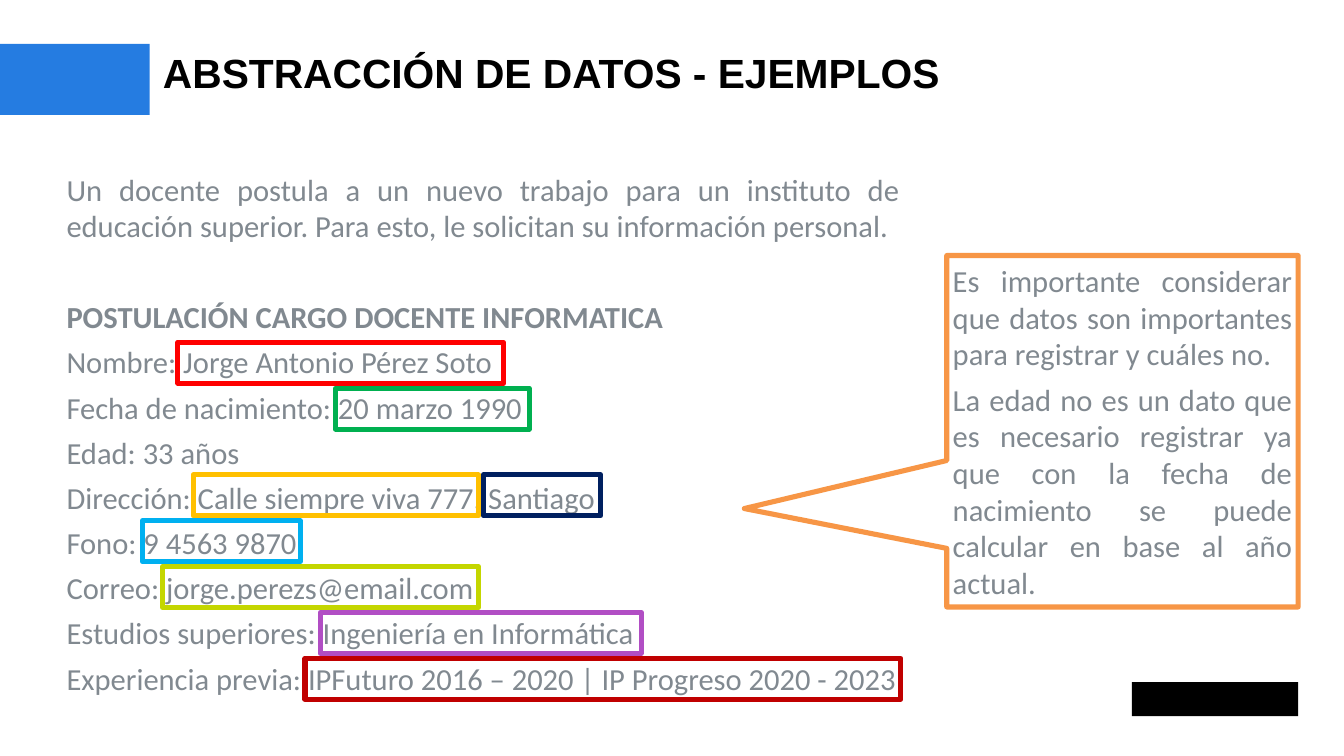
from collections import namedtuple

from pptx import Presentation
from pptx.dml.color import RGBColor
from pptx.enum.shapes import MSO_SHAPE
from pptx.enum.text import MSO_ANCHOR, PP_ALIGN
from pptx.util import Pt

Box = namedtuple("Box", "left top width height")

BODY = {"name": "Calibri", "size": Pt(36), "bold": False}
HEADING = {**BODY, "bold": True}
TITLE = {"name": "Arial", "size": Pt(48), "bold": True}
GREY = "818990"
PARAGRAPH_GAP = 10
SECTION_GAP = 64
ROW_STEP = 54

FORM_LINES = [
    "Nombre: Jorge Antonio Pérez Soto",
    "Fecha de nacimiento: 20 marzo 1990",
    "Edad: 33 años",
    "Dirección: Calle siempre viva 777, Santiago",
    "Fono: 9 4563 9870",
    "Correo: jorge.perezs@email.com",
    "Estudios superiores: Ingeniería en Informática",
    "Experiencia previa: IPFuturo 2016 – 2020 | IP Progreso 2020 - 2023",
]
PERSON_MARKS = [
    (0, 138.2, 383.8, "FF0000"),
    (1, 324, 228.2, "00B050"),
]
CONTACT_MARKS = [
    (0, 156.2, 336.2, "FFC000"),
    (0, 498.2, 138.2, "002060"),
    (1, 96.5, 185.8, "00B0F0"),
    (2, 120.2, 372.2, "C4D600"),
    (3, 306, 378, "B14EC4"),
    (4, 288, 702, "C00000"),
]
ADVICE = [
    "Es importante considerar que datos son importantes para registrar y cuáles no.",
    "La edad no es un dato que es necesario registrar ya que con la fecha de "
    "nacimiento se puede calcular en base al año actual.",
]


def color(value):
    return RGBColor.from_string(value)


def place(box):
    return [Pt(length) for length in box]


def add_figure(page, kind, box, fill=None, line=None):
    figure = page.shapes.add_shape(kind, *place(box))
    figure.shadow.inherit = False
    if fill:
        figure.fill.solid()
        figure.fill.fore_color.rgb = color(fill)
    else:
        figure.fill.background()
    if line:
        figure.line.color.rgb = color(line)
        figure.line.width = Pt(6)
    else:
        figure.line.fill.background()
    return figure


def write(frame, entries, font_color, align):
    frame.word_wrap = True
    for index, (text, gap, style) in enumerate(entries):
        para = frame.add_paragraph() if index else frame.paragraphs[0]
        para.alignment = align
        if index:
            para.space_before = Pt(gap)
        span = para.add_run()
        span.text = text
        for name, value in style.items():
            setattr(span.font, name, value)
        span.font.color.rgb = color(font_color)


def add_header(page, box):
    band = Box(box.left, box.top, 176.4, box.height)
    add_figure(page, MSO_SHAPE.RECTANGLE, band, fill="257CE1")
    title_box = Box(box.left + 192, box.top + 4.3, box.width - 192, 58.3)
    frame = page.shapes.add_textbox(*place(title_box)).text_frame
    for side in ("left", "top", "right", "bottom"):
        setattr(frame, f"margin_{side}", 0)
    write(frame, [("ABSTRACCIÓN DE DATOS - EJEMPLOS", 0, TITLE)], "000000", PP_ALIGN.LEFT)


def add_marks(page, box, first_top, marks):
    for row, left, width, line in marks:
        top = box.top + first_top + row * ROW_STEP
        mark = Box(box.left + left, top, width, 48.2)
        add_figure(page, MSO_SHAPE.RECTANGLE, mark, line=line)


def add_application(page, box):
    entries = [
        ("Un docente postula a un nuevo trabajo para un instituto de educación "
         "superior. Para esto, le solicitan su información personal.", 0, BODY),
        ("POSTULACIÓN CARGO DOCENTE INFORMATICA", SECTION_GAP, HEADING),
    ]
    entries += [(text, PARAGRAPH_GAP, BODY) for text in FORM_LINES]
    frame = page.shapes.add_textbox(*place(box)).text_frame
    write(frame, entries, GREY, PP_ALIGN.JUSTIFY)
    add_marks(page, box, 206, PERSON_MARKS)
    add_marks(page, box, 362.2, CONTACT_MARKS)


def add_advice(page, box):
    callout = add_figure(page, MSO_SHAPE.RECTANGULAR_CALLOUT, box, "FFFFFF", "F79646")
    callout.adjustments[0] = -1.076
    callout.adjustments[1] = 0.22
    callout.text_frame.vertical_anchor = MSO_ANCHOR.MIDDLE
    entries = [(text, PARAGRAPH_GAP, BODY) for text in ADVICE]
    write(callout.text_frame, entries, GREY, PP_ALIGN.JUSTIFY)


def main():
    deck = Presentation()
    deck.slide_width = Pt(1583.3)
    deck.slide_height = Pt(890.6)
    page = deck.slides.add_slide(deck.slide_layouts[6])
    add_header(page, Box(0, 51.8, 1529.3, 83.5))
    add_figure(page, MSO_SHAPE.RECTANGLE, Box(1333.4, 803.5, 195.8, 40.3), fill="000000")
    add_application(page, Box(71.3, 197.3, 995.8, 631.4))
    add_advice(page, Box(1115.3, 301, 414, 414))
    deck.save("out.pptx")


if __name__ == "__main__":
    main()
